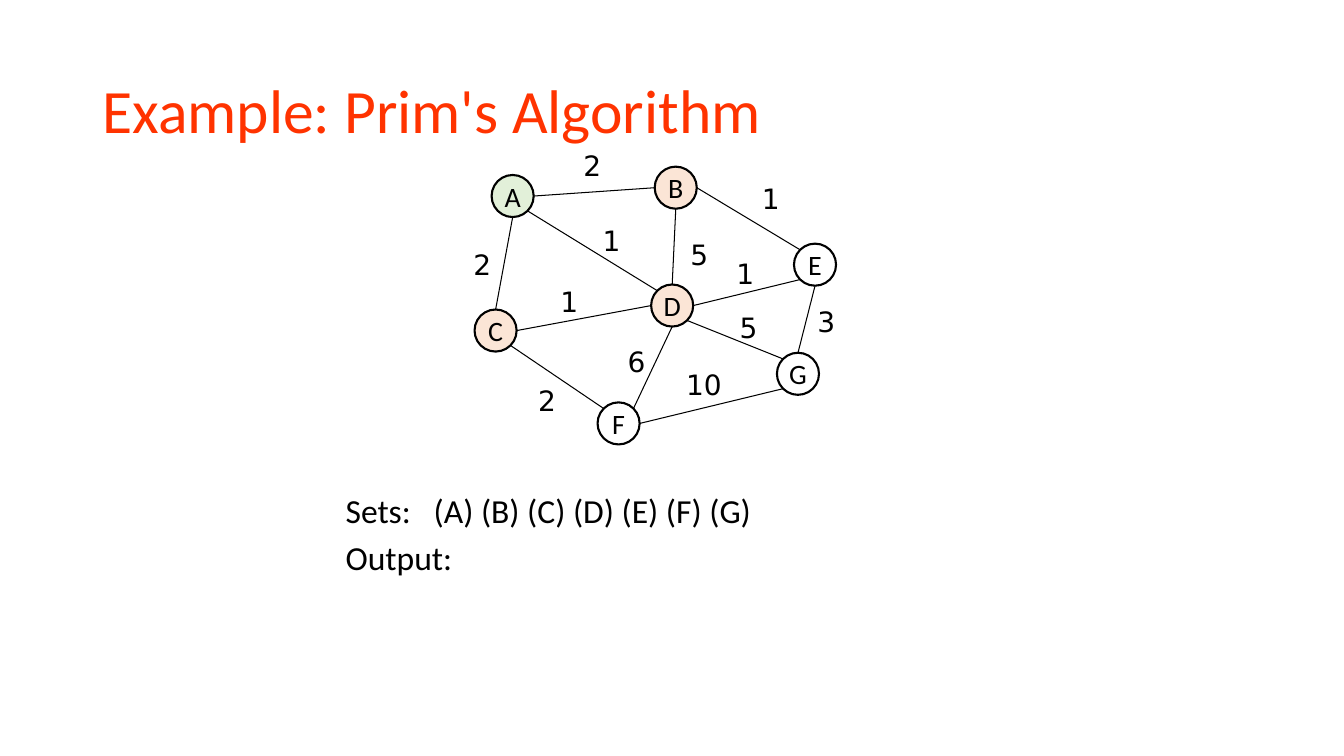
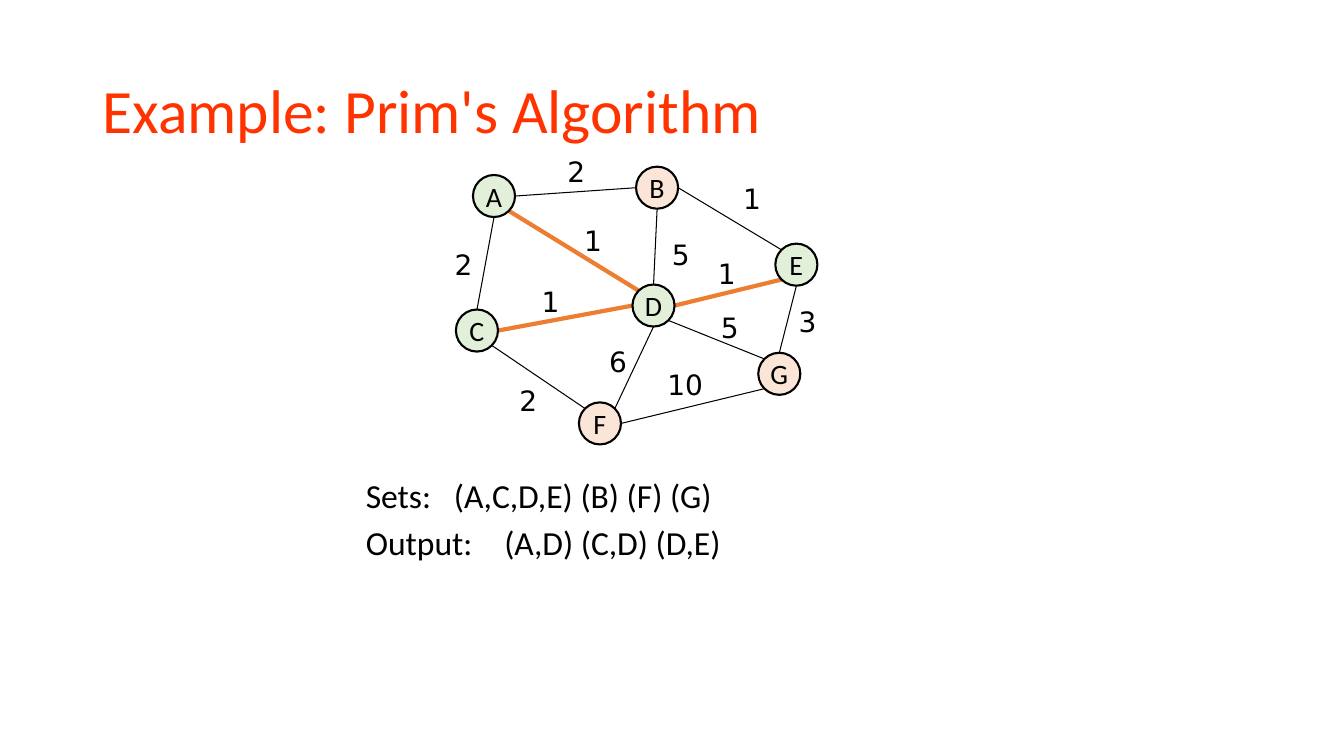
import math
from typing import NamedTuple, Optional

import lxml.etree
import pptx
import pptx.dml.color
import pptx.dml.fill
import pptx.enum.shapes
import pptx.enum.text
import pptx.oxml.ns
import pptx.slide
import pptx.text.text
import pptx.util

Cm = pptx.util.Cm
Pt = pptx.util.Pt
ALIGN = pptx.enum.text.PP_ALIGN
FIT = pptx.enum.text.MSO_AUTO_SIZE
MIDDLE = pptx.enum.text.MSO_ANCHOR.MIDDLE

# Shared style
COLORS = {
    "title": "FF3300",
    "ink": "000000",
    "visited": "E2F0D9",
    "frontier": "FBE5D6",
    "chosen": "ED7D31",
}
TEXT_FONT = "Calibri"
WEIGHT_FONT = "DejaVu Sans"
TITLE = "Example: Prim's Algorithm"
RADIUS = 0.53


class Edge(NamedTuple):
    """Weighted edge between two compass points of its end nodes."""
    ends: str
    start_side: str
    end_side: str
    weight: str
    label_left: float
    label_top: float


class Step(NamedTuple):
    """State of the algorithm; lengths in cm."""
    visited: str
    frontier: str
    chosen: tuple[str, ...]
    graph_shift: float
    moved_labels: dict[str, tuple[float, float]]
    summary: str
    summary_left: float
    summary_top: float


# Graph: node centres and edges in cm
NODES = {
    "A": (12.92, 4.94),
    "B": (17.03, 4.73),
    "C": (12.49, 8.33),
    "D": (16.94, 7.7),
    "E": (20.54, 6.67),
    "F": (15.59, 10.67),
    "G": (20.11, 9.42),
}
EDGES = (
    Edge("AB", "E", "W", "2", 14.45, 3.63),
    Edge("AC", "S", "N", "2", 11.68, 6.1),
    Edge("AD", "SE", "NW", "1", 14.94, 5.51),
    Edge("BD", "S", "N", "5", 17.15, 5.87),
    Edge("BE", "E", "NW", "1", 18.95, 4.45),
    Edge("CD", "E", "W", "1", 13.87, 7.04),
    Edge("CF", "SE", "NW", "2", 13.31, 9.55),
    Edge("DE", "E", "SW", "1", 18.31, 6.35),
    Edge("DF", "S", "NE", "6", 15.57, 8.56),
    Edge("DG", "SE", "NW", "5", 18.39, 7.7),
    Edge("EG", "S", "N", "3", 20.35, 7.54),
    Edge("FG", "E", "SW", "10", 17.04, 9.14),
)
STEPS = (
    Step("A", "BCD", (), 0, {},
         "Sets: \t(A) (B) (C) (D) (E) (F) (G)\nOutput:\t", 8.46, 12.22),
    Step("ACDE", "BFG", ("AD", "CD", "DE"), -0.47, {"AB": (14.52, 3.78)},
         "Sets: \t(A,C,D,E) (B) (F) (G)\nOutput:\t(A,D) (C,D) (D,E)", 8.97, 11.84),
)


def rgb(name: str) -> pptx.dml.color.RGBColor:
    return pptx.dml.color.RGBColor.from_string(COLORS[name])


def write_text(frame: pptx.text.text.TextFrame, text: str, *, size: float,
               font: str = TEXT_FONT, color: str = "ink",
               align: Optional[ALIGN] = ALIGN.LEFT,
               anchor: Optional[pptx.enum.text.MSO_ANCHOR] = None,
               wrap: bool = False, fit: FIT = FIT.NONE,
               line_spacing: Optional[float] = None,
               space_before: float = 0, indent: float = 0,
               tab: Optional[float] = None) -> None:
    """Fill a frame, one paragraph per line; indent and tab in cm."""
    frame.word_wrap = wrap
    frame.auto_size = fit
    if anchor is not None:
        frame.vertical_anchor = anchor
    for number, line in enumerate(text.split("\n")):
        paragraph = frame.add_paragraph() if number else frame.paragraphs[0]
        paragraph.alignment = align
        paragraph.line_spacing = line_spacing
        paragraph.space_before = Pt(space_before)
        run = paragraph.add_run()
        run.text = line
        run.font.size = Pt(size)
        run.font.name = font
        run.font.color.rgb = rgb(color)
        if tab is not None:
            # Hanging indent and tab stop
            properties = paragraph._p.get_or_add_pPr()
            properties.set("marL", str(Cm(indent)))
            properties.set("indent", str(-Cm(indent)))
            stops = lxml.etree.SubElement(properties, pptx.oxml.ns.qn("a:tabLst"))
            lxml.etree.SubElement(stops, pptx.oxml.ns.qn("a:tab"),
                                  pos=str(Cm(tab)), algn="l")


def node_side(node: str, side: str, shift: float) -> tuple[float, float]:
    """Point on a node's rim in a compass direction."""
    x, y = NODES[node]
    dx = ("E" in side) - ("W" in side)
    dy = ("S" in side) - ("N" in side)
    reach = RADIUS / math.hypot(dx, dy)
    return x + shift + dx * reach, y + dy * reach


def add_title(slide: pptx.slide.Slide) -> None:
    title = slide.shapes.title
    title.left, title.top = Cm(2.33), Cm(1.02)
    title.width, title.height = Cm(29.21), Cm(3.68)
    write_text(title.text_frame, TITLE, size=44, color="title",
               anchor=MIDDLE, wrap=True, line_spacing=0.9)


def add_edge(slide: pptx.slide.Slide, edge: Edge, step: Step) -> None:
    start = node_side(edge.ends[0], edge.start_side, step.graph_shift)
    end = node_side(edge.ends[1], edge.end_side, step.graph_shift)
    link = slide.shapes.add_connector(
        pptx.enum.shapes.MSO_CONNECTOR.STRAIGHT,
        *(Cm(length) for length in start + end))
    chosen = edge.ends in step.chosen
    link.line.color.rgb = rgb("chosen" if chosen else "ink")
    link.line.width = Pt(3 if chosen else 0.75)
    lxml.etree.SubElement(link._element.spPr, pptx.oxml.ns.qn("a:effectLst"))


def add_weight(slide: pptx.slide.Slide, edge: Edge, step: Step) -> None:
    left, top = step.moved_labels.get(edge.ends, (edge.label_left, edge.label_top))
    width = 0.97 + 0.45 * (len(edge.weight) - 1)
    label = slide.shapes.add_textbox(
        Cm(left + step.graph_shift), Cm(top), Cm(width), Cm(1.12))
    write_text(label.text_frame, edge.weight, size=20, font=WEIGHT_FONT,
               fit=FIT.SHAPE_TO_FIT_TEXT)


def add_node(slide: pptx.slide.Slide, name: str, step: Step) -> None:
    x, y = NODES[name]
    node = slide.shapes.add_shape(
        pptx.enum.shapes.MSO_SHAPE.OVAL,
        Cm(x + step.graph_shift - RADIUS), Cm(y - RADIUS),
        Cm(2 * RADIUS), Cm(2 * RADIUS))
    node.shadow.inherit = False
    if name in step.visited + step.frontier:
        node.fill.solid()
        node.fill.fore_color.rgb = rgb(
            "visited" if name in step.visited else "frontier")
    else:
        node.fill.background()
    node.line.color.rgb = rgb("ink")
    node.line.width = Pt(1.5)
    write_text(node.text_frame, name, size=20, align=ALIGN.CENTER, anchor=MIDDLE)


def add_summary(slide: pptx.slide.Slide, step: Step) -> None:
    summary = slide.shapes.add_textbox(
        Cm(step.summary_left), Cm(step.summary_top), Cm(19.69), Cm(2.51))
    write_text(summary.text_frame, step.summary, size=24, wrap=True,
               fit=FIT.SHAPE_TO_FIT_TEXT, space_before=4.8, indent=0.95, tab=3.66)


def main() -> None:
    deck = pptx.Presentation()
    deck.slide_width, deck.slide_height = Cm(33.87), Cm(19.05)
    title_only = deck.slide_layouts[5]
    for step in STEPS:
        slide = deck.slides.add_slide(title_only)
        add_title(slide)
        for edge in EDGES:
            add_edge(slide, edge, step)
        for edge in EDGES:
            add_weight(slide, edge, step)
        for name in NODES:
            add_node(slide, name, step)
        add_summary(slide, step)
    deck.save("out.pptx")


if __name__ == "__main__":
    main()
